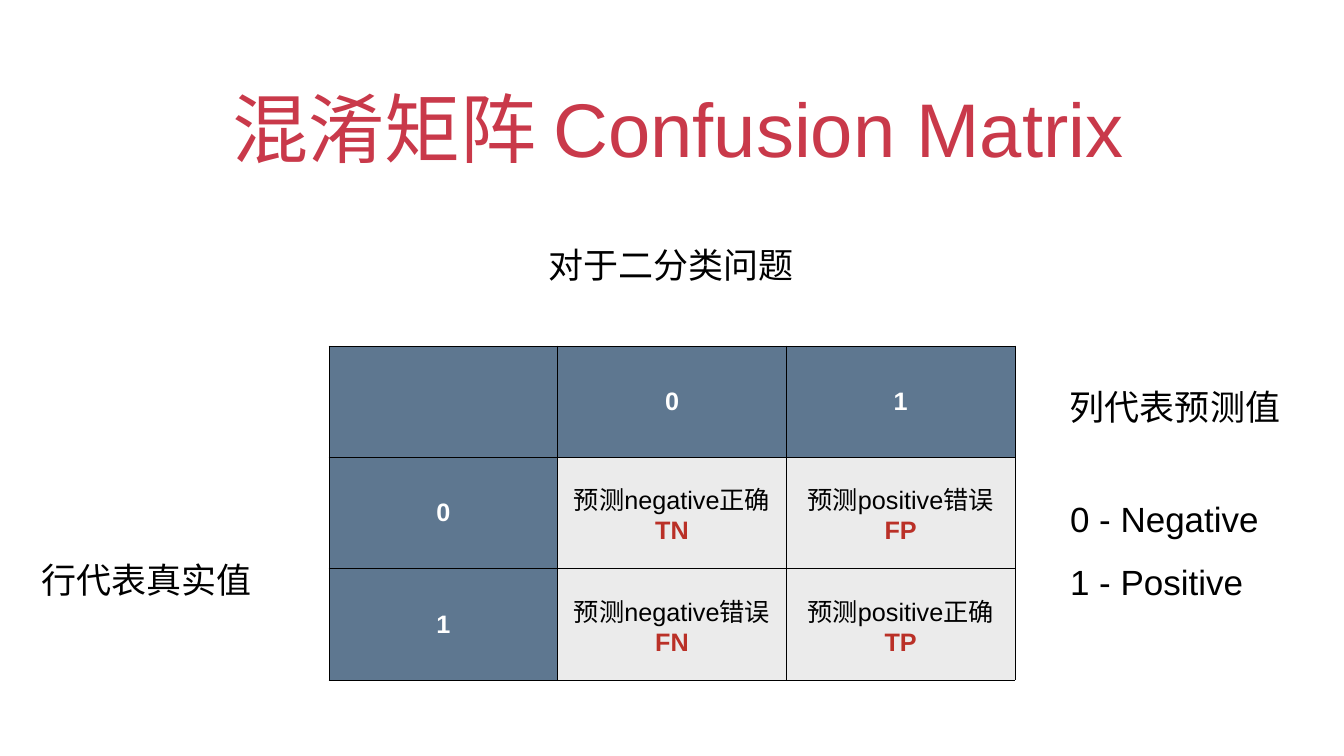
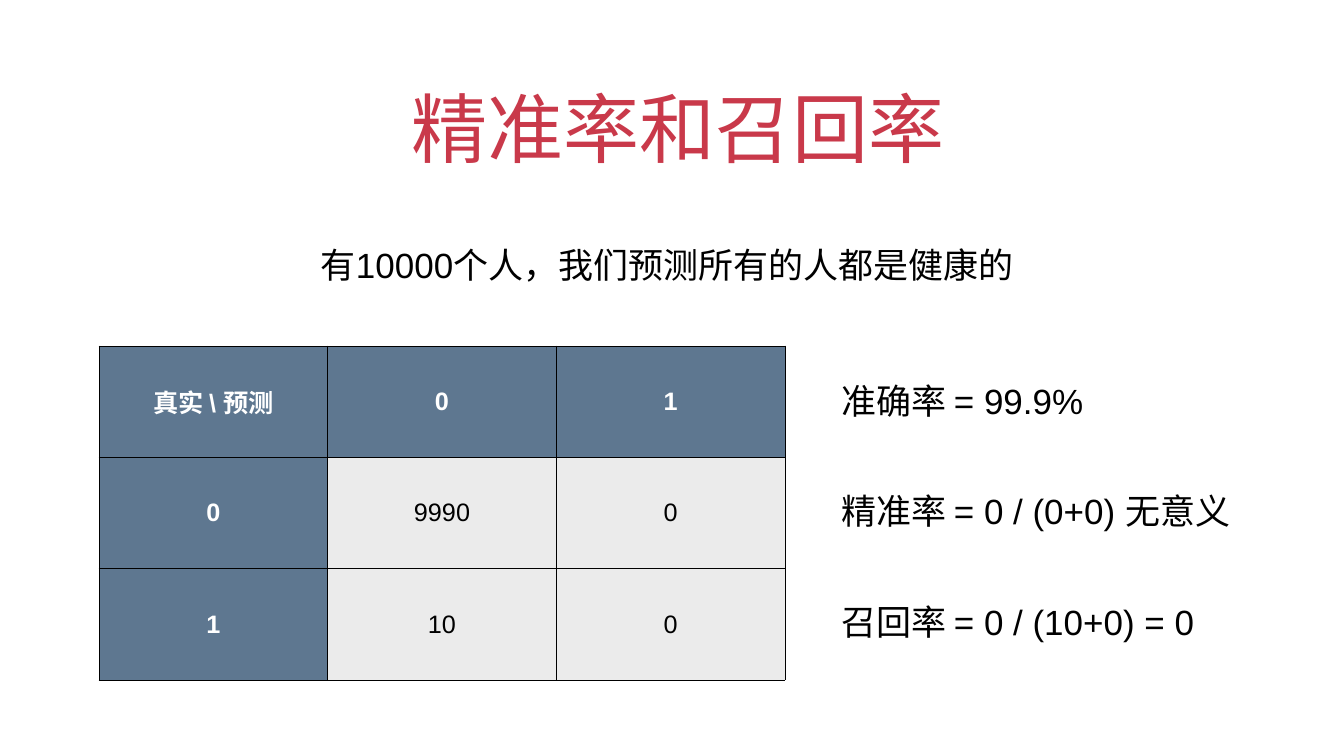
from lxml import etree
from pptx import Presentation
from pptx.dml.color import RGBColor
from pptx.enum.text import MSO_ANCHOR, MSO_AUTO_SIZE, PP_ALIGN
from pptx.oxml.ns import qn
from pptx.util import Emu, Pt

CENTER, LEFT = PP_ALIGN.CENTER, PP_ALIGN.LEFT
MIDDLE, BOTTOM = MSO_ANCHOR.MIDDLE, MSO_ANCHOR.BOTTOM
GROW, NO_FIT = MSO_AUTO_SIZE.SHAPE_TO_FIT_TEXT, MSO_AUTO_SIZE.NONE

PX_PER_INCH = 50.4
FONT = "Arial"
RED, DARK_RED, BLUE, GRAY = "C9394A", "BA3027", "5E7790", "EBEBEB"
BLACK, WHITE = "000000", "FFFFFF"

# Boxes are left, top, width, height in px
TITLE_BOX = (98, 64, 1148, 112)
TABLE_TOP, TABLE_W, TABLE_H = 346, 686, 334
INTRO_TOP, LINE_H = 227, 54
INDENT, INSET = 12, 3


def px(n):
    return Emu(round(n * 914400 / PX_PER_INCH))


def rgb(color):
    return RGBColor.from_string(color)


def style(p, size, color, bold=False, align=LEFT):
    p.alignment = align
    p.font.name = FONT
    p.font.size = Pt(size)
    p.font.bold = bold
    p.font.color.rgb = rgb(color)


def indent(p):
    pPr = p._p.get_or_add_pPr()
    pPr.set("marL", "0")
    pPr.set("indent", str(px(INDENT)))


def set_insets(part):
    part.margin_left = part.margin_right = px(INSET)
    part.margin_top = part.margin_bottom = px(INSET)


def add_titled_slide(prs, title):
    slide = prs.slides.add_slide(prs.slide_layouts[5])
    s = slide.shapes.title
    s.left, s.top, s.width, s.height = map(px, TITLE_BOX)
    tf = s.text_frame
    set_insets(tf)
    tf.auto_size = NO_FIT
    tf.vertical_anchor = BOTTOM
    tf.text = title
    style(tf.paragraphs[0], 108.6, RED, align=CENTER)
    indent(tf.paragraphs[0])
    return slide


def add_note(slide, box, text, wrap=False):
    tf = slide.shapes.add_textbox(*map(px, box)).text_frame
    set_insets(tf)
    tf.word_wrap = wrap
    tf.auto_size = GROW
    tf.vertical_anchor = MIDDLE
    tf.text = text
    for p in tf.paragraphs:
        style(p, 50, BLACK)
        p.line_spacing = 1.5
        indent(p)


def add_borders(cell):
    tcPr = cell._tc.get_or_add_tcPr()
    for side in ("lnL", "lnR", "lnT", "lnB"):
        ln = etree.SubElement(tcPr, qn("a:" + side), w=str(Pt(1)))
        fill = etree.SubElement(ln, qn("a:solidFill"))
        etree.SubElement(fill, qn("a:srgbClr"), val=BLACK)


def add_matrix(slide, left, rows):
    """Table whose first row and first column are headers."""
    n_rows, n_cols = len(rows), len(rows[0])
    box = (left, TABLE_TOP, TABLE_W, TABLE_H)
    table = slide.shapes.add_table(n_rows, n_cols, *map(px, box)).table
    table.first_row = table.horz_banding = False
    for col in table.columns:
        col.width = px(TABLE_W / n_cols)
    for row in table.rows:
        row.height = px(TABLE_H / n_rows)
    for i, row in enumerate(rows):
        for j, text in enumerate(row):
            header = i == 0 or j == 0
            cell = table.cell(i, j)
            add_borders(cell)
            cell.fill.solid()
            cell.fill.fore_color.rgb = rgb(BLUE if header else GRAY)
            cell.vertical_anchor = MIDDLE
            set_insets(cell)
            cell.text = text
            first, *codes = cell.text_frame.paragraphs
            style(first, 36, WHITE if header else BLACK, header, CENTER)
            for p in codes:
                style(p, 36, DARK_RED, True, CENTER)


def confusion_matrix_slide(prs):
    slide = add_titled_slide(prs, "混淆矩阵 Confusion Matrix")
    add_matrix(slide, 329, [
        ["", "0", "1"],
        ["0", "预测negative正确\nTN", "预测positive错误\nFP"],
        ["1", "预测negative错误\nFN", "预测positive正确\nTP"],
    ])
    add_note(slide, (534, INTRO_TOP, 277, LINE_H), "对于二分类问题")
    # Explanations beside the table
    add_note(slide, (27, 542, 241, LINE_H), "行代表真实值")
    add_note(slide, (1055, 369, 241, LINE_H), "列代表预测值")
    add_note(slide, (1055, 485, 230, 110), "0 - Negative\n1 - Positive")


def precision_recall_slide(prs):
    slide = add_titled_slide(prs, "精准率和召回率")
    add_matrix(slide, 99, [
        ["真实 \\ 预测", "0", "1"],
        ["0", "9990", "0"],
        ["1", "10", "0"],
    ])
    add_note(slide, (306, INTRO_TOP, 731, LINE_H),
             "有10000个人，我们预测所有的人都是健康的", wrap=True)
    # One metric beside each table row
    metrics = ["准确率 = 99.9%", "精准率 = 0 / (0+0) 无意义", "召回率 = 0 / (10+0) = 0"]
    left, top, step = 826, 363, 110.5
    for i, metric in enumerate(metrics):
        add_note(slide, (left, top + i * step, 455, LINE_H), metric, wrap=True)


def main():
    prs = Presentation()
    prs.slide_width, prs.slide_height = px(1344), px(756)
    confusion_matrix_slide(prs)
    precision_recall_slide(prs)
    prs.save("out.pptx")


if __name__ == "__main__":
    main()
